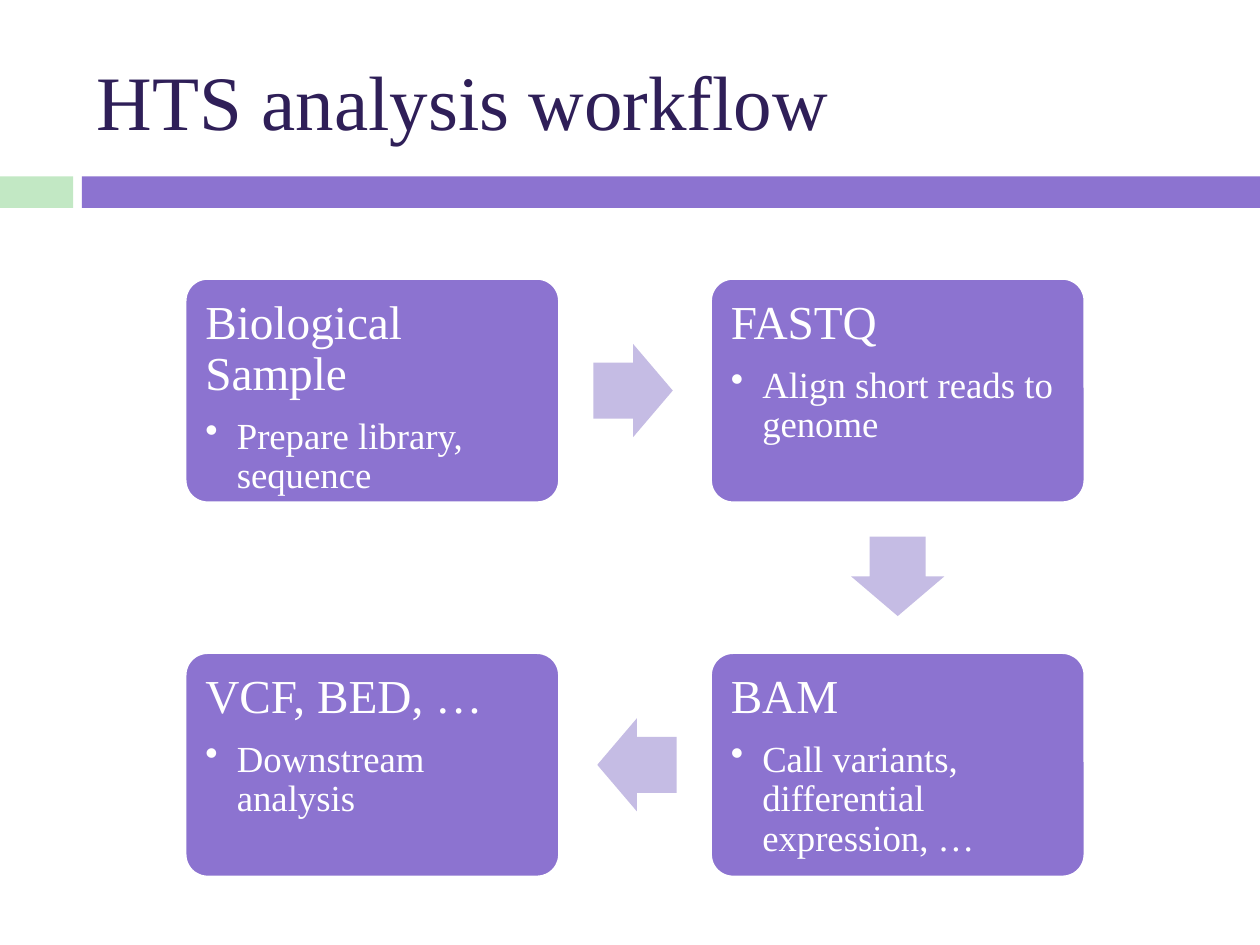
from lxml import etree
from pptx import Presentation
from pptx.dml.color import RGBColor
from pptx.enum.shapes import MSO_SHAPE
from pptx.enum.text import MSO_ANCHOR, PP_ALIGN
from pptx.oxml.ns import qn
from pptx.util import Inches, Pt

RECTANGLE = MSO_SHAPE.RECTANGLE
ROUNDED = MSO_SHAPE.ROUNDED_RECTANGLE
ARROW = MSO_SHAPE.RIGHT_ARROW
TOP, MIDDLE = MSO_ANCHOR.TOP, MSO_ANCHOR.MIDDLE
LEFT = PP_ALIGN.LEFT

PURPLE = RGBColor(0x8C, 0x73, 0xD0)
LAVENDER = RGBColor(0xC5, 0xBC, 0xE4)
GREEN = RGBColor(0xC2, 0xE8, 0xC4)
NAVY = RGBColor(0x2F, 0x1F, 0x58)
WHITE = RGBColor(0xFF, 0xFF, 0xFF)
FONT = "Times New Roman"

BOX_WIDTH, BOX_HEIGHT = Inches(2.97), Inches(1.78)
COLUMN_STEP, ROW_STEP = Inches(4.17), Inches(2.97)
ARROW_LENGTH, ARROW_BREADTH = Inches(0.63), Inches(0.74)
ARROW_GAP = Inches(0.27)

STEPS = [
    ("Biological Sample", "Prepare library, sequence", 0, 0),
    ("FASTQ", "Align short reads to genome", 1, 0),
    ("BAM", "Call variants, differential expression, …", 1, 1),
    ("VCF, BED, …", "Downstream analysis", 0, 1),
]


def add_filled(slide, kind, left, top, width, height, color):
    shape = slide.shapes.add_shape(kind, left, top, width, height)
    shape.shadow.inherit = False
    shape.fill.solid()
    shape.fill.fore_color.rgb = color
    shape.line.fill.background()
    return shape


def add_text_frame(slide, left, top, width, height, anchor):
    frame = slide.shapes.add_textbox(left, top, width, height).text_frame
    frame.word_wrap = True
    frame.vertical_anchor = anchor
    return frame


def write(paragraph, text, size, color):
    paragraph.alignment = LEFT
    run = paragraph.add_run()
    run.text = text
    run.font.name = FONT
    run.font.size = Pt(size)
    run.font.color.rgb = color


def add_bullet(paragraph):
    properties = paragraph._p.get_or_add_pPr()
    properties.set("marL", str(Inches(0.25)))
    properties.set("indent", str(-Inches(0.25)))
    etree.SubElement(properties, qn("a:buChar")).set("char", "•")


def add_header(slide, left, top, width):
    frame = add_text_frame(slide, left + Inches(0.67), top + Inches(0.25),
                           Inches(8.92), Inches(1.08), MIDDLE)
    write(frame.paragraphs[0], "HTS analysis workflow", 44, NAVY)
    bar_top, bar_height, bar_offset = top + Inches(1.4), Inches(0.25), Inches(0.65)
    add_filled(slide, RECTANGLE, left, bar_top, Inches(0.58), bar_height, GREEN)
    add_filled(slide, RECTANGLE, left + bar_offset, bar_top,
               width - bar_offset, bar_height, PURPLE)


def add_step(slide, left, top, heading, detail):
    box = add_filled(slide, ROUNDED, left, top, BOX_WIDTH, BOX_HEIGHT, PURPLE)
    box.adjustments[0] = 0.1
    box.line.color.rgb = WHITE
    box.line.width = Pt(1.5)
    inset = Inches(0.05)
    frame = add_text_frame(slide, left + inset, top + inset,
                           BOX_WIDTH - 2 * inset, BOX_HEIGHT - 2 * inset, TOP)
    frame.margin_left = frame.margin_right = Inches(0.11)
    frame.margin_top = frame.margin_bottom = Inches(0.11)
    title, bullet = frame.paragraphs[0], frame.add_paragraph()
    bullet.level = 1
    for paragraph, text, size, space in ((title, heading, 27, 9.5),
                                         (bullet, detail, 21, 3)):
        paragraph.line_spacing = 0.9
        paragraph.space_after = Pt(space)
        write(paragraph, text, size, WHITE)
    add_bullet(bullet)


def add_arrow(slide, left, top, across, down):
    reach = ARROW_GAP + ARROW_LENGTH // 2
    center_x = left + BOX_WIDTH // 2 + across * (BOX_WIDTH // 2 + reach)
    center_y = top + BOX_HEIGHT // 2 + down * (BOX_HEIGHT // 2 + reach)
    arrow = add_filled(slide, ARROW, center_x - ARROW_LENGTH // 2,
                       center_y - ARROW_BREADTH // 2,
                       ARROW_LENGTH, ARROW_BREADTH, LAVENDER)
    arrow.adjustments[0] = 0.6
    arrow.adjustments[1] = 0.5
    arrow.rotation = 90 if down else 90 * (1 - across)


def add_workflow(slide, left, top):
    for index, (heading, detail, column, row) in enumerate(STEPS):
        box_left = left + column * COLUMN_STEP
        box_top = top + row * ROW_STEP
        add_step(slide, box_left, box_top, heading, detail)
        if index + 1 < len(STEPS):
            next_column, next_row = STEPS[index + 1][2:]
            add_arrow(slide, box_left, box_top, next_column - column, next_row - row)


def main():
    presentation = Presentation()
    presentation.slide_width = Inches(10)
    presentation.slide_height = Inches(7.5)
    slide = presentation.slides.add_slide(presentation.slide_layouts[6])
    add_header(slide, Inches(0), Inches(0), presentation.slide_width)
    add_workflow(slide, Inches(1.47), Inches(2.21))
    presentation.save("out.pptx")


if __name__ == "__main__":
    main()
